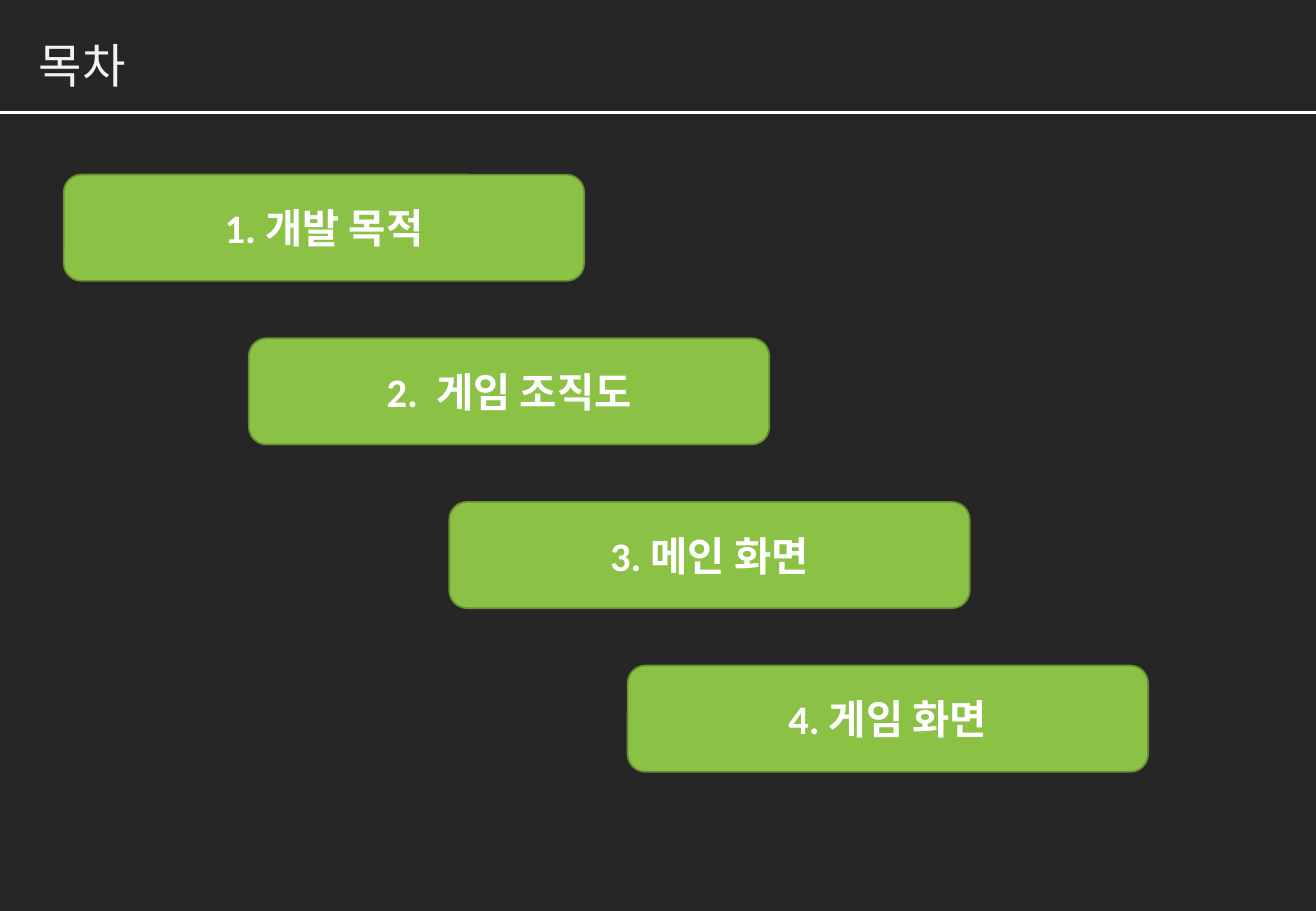
from lxml import etree
from pptx import Presentation
from pptx import util as u
from pptx.dml.color import RGBColor
from pptx.enum import shapes, text
from pptx.oxml.ns import qn

COLORS = {
    "background": "262626",
    "title": "F2F2F2",
    "white": "FFFFFF",
    "green": "8BC145",
    "border": "678F33",
}
KOREAN = "Noto Sans CJK KR"
LATIN = "Calibri"


class AgendaSlide:
    def __init__(self, deck):
        self.page = deck.slides.add_slide(deck.slide_layouts[6])
        self.paint(self.page.background.fill, "background")

    def paint(self, fill, color):
        fill.solid()
        fill.fore_color.rgb = RGBColor.from_string(COLORS[color])

    def span(self, para, words, size, font, color, bold=False, spacing=0):
        span = para.add_run()
        span.text = words
        span.font.size = u.Pt(size)
        span.font.name = font
        span.font.bold = bold
        self.paint(span.font.fill, color)
        properties = span.font._element
        east_asian = etree.Element(qn("a:ea"), typeface=KOREAN)
        properties.find(qn("a:latin")).addnext(east_asian)
        if spacing:
            properties.set("spc", str(round(spacing * 100)))

    def title(self, words, left, top, width, height):
        box = self.page.shapes.add_textbox(
            u.Pt(left), u.Pt(top), u.Pt(width), u.Pt(height))
        box.text_frame.word_wrap = True
        box.text_frame.auto_size = text.MSO_AUTO_SIZE.SHAPE_TO_FIT_TEXT
        self.span(box.text_frame.paragraphs[0], words, 28, KOREAN, "title")

    def rule(self, top, width):
        line = self.page.shapes.add_connector(
            shapes.MSO_CONNECTOR.STRAIGHT, 0, u.Pt(top), u.Pt(width), u.Pt(top))
        self.paint(line.line.fill, "white")
        line.line.width = u.Pt(2)
        etree.SubElement(line._element.spPr, qn("a:effectLst"))

    def entry(self, number, words, left, top, width, height, extra_gap):
        box = self.page.shapes.add_shape(
            shapes.MSO_SHAPE.ROUNDED_RECTANGLE,
            u.Pt(left), u.Pt(top), u.Pt(width), u.Pt(height))
        box.shadow.inherit = False
        self.paint(box.fill, "green")
        self.paint(box.line.fill, "border")
        box.line.width = u.Pt(1)
        box.text_frame.word_wrap = True
        box.text_frame.vertical_anchor = text.MSO_ANCHOR.MIDDLE
        para = box.text_frame.paragraphs[0]
        para.alignment = text.PP_ALIGN.CENTER
        for part, spacing in ((f"{number}.", 0), (" ", extra_gap), (words, 0)):
            self.span(para, part, 24, LATIN, "white", True, spacing)


def main():
    deck = Presentation()
    deck.slide_width, deck.slide_height = u.Pt(780), u.Pt(540)
    agenda = AgendaSlide(deck)
    agenda.title("목차", 16, 18, 411, 41)
    agenda.rule(66.75, 780)
    entries = [
        ("개발 목적", 37.75, 0),
        ("게임 조직도", 147.5, 5.4),
        ("메인 화면", 266.25, 0),
        ("게임 화면", 372, 0),
    ]
    for index, (words, left, extra_gap) in enumerate(entries):
        agenda.entry(index + 1, words, left, 103.5 + 97 * index, 308.5, 63, extra_gap)
    deck.save("out.pptx")


if __name__ == "__main__":
    main()
